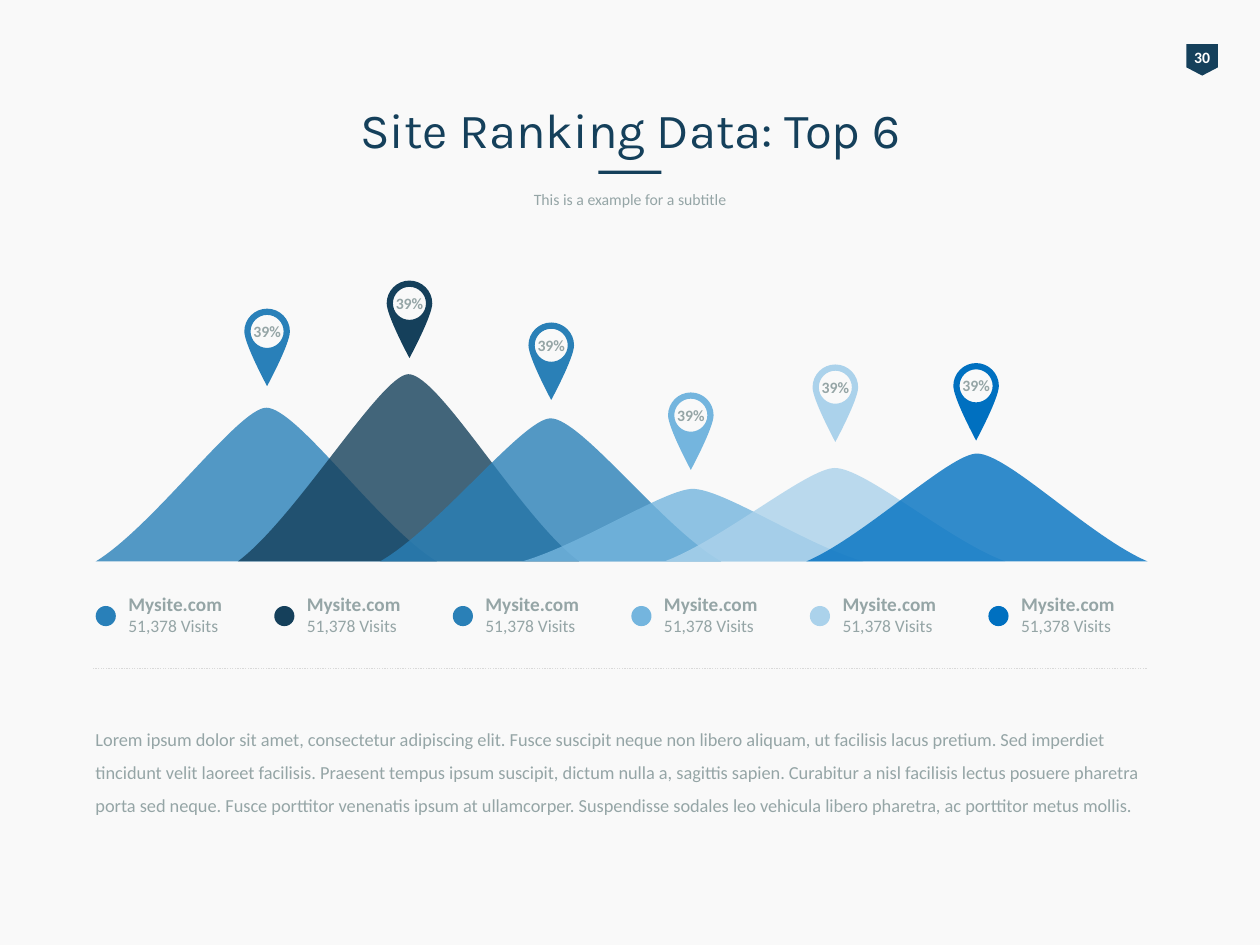
from dataclasses import dataclass

from lxml import etree
from pptx import Presentation
from pptx.dml.color import RGBColor
from pptx.enum.dml import MSO_LINE
from pptx.enum.shapes import MSO_CONNECTOR, MSO_SHAPE
from pptx.enum.text import MSO_ANCHOR, PP_ALIGN
from pptx.oxml.ns import qn
from pptx.util import Emu, Inches, Pt

CENTER, LEFT = PP_ALIGN.CENTER, PP_ALIGN.LEFT
MIDDLE = MSO_ANCHOR.MIDDLE
ELLIPSE, RECTANGLE, PENTAGON = MSO_SHAPE.OVAL, MSO_SHAPE.RECTANGLE, MSO_SHAPE.PENTAGON
STRAIGHT, DOTTED = MSO_CONNECTOR.STRAIGHT, MSO_LINE.ROUND_DOT

# The slide is a grid of 100 columns by 75 rows of square cells.
SLIDE_WIDTH, SLIDE_HEIGHT = Inches(10), Inches(7.5)
CELL = SLIDE_WIDTH / 100

NAVY, GREY, PAPER, WHITE, RULE = "15405B", "95A5A6", "F9F9F9", "FFFFFF", "D9D9D9"
BODY_FONT, TITLE_FONT = "Calibri", "Karla"

MARGIN = 7.6
BASELINE = 44.56
MOUNTAIN_PITCH, MOUNTAIN_WIDTH = 11.28, 27.08
LEGEND_PITCH, LEGEND_TOP, DOT_SIZE = 14.17, 46.5, 1.6
PIN_RADIUS, HOLE_RADIUS, PIN_HEIGHT = 1.81, 1.31, 6.15

# Outlines are a start point, then two handles and an end point per Bezier segment.
# The ridge is in shares of a mountain's width and height.
RIDGE = [(0, 0), (0.17, 0.23), (0.42, 1), (0.5, 1), (0.59, 1), (0.83, 0.23), (1, 0)]
# The pin is in radii around the centre of its head.
ARC = 0.55
TIP = PIN_HEIGHT / PIN_RADIUS - 1
TOP_ARCS = [(-1, 0), (-1, -ARC), (-ARC, -1), (0, -1), (ARC, -1), (1, -ARC), (1, 0)]
DROP = TOP_ARCS + [(1, ARC), (0, TIP), (0, TIP), (0, TIP), (-1, ARC), (-1, 0)]
CIRCLE = TOP_ARCS + [(1, ARC), (ARC, 1), (0, 1), (-ARC, 1), (-1, ARC), (-1, 0)]

BODY_TEXT = (
    "Lorem ipsum dolor sit amet, consectetur adipiscing elit. Fusce suscipit neque non "
    "libero aliquam, ut facilisis lacus pretium. Sed imperdiet tincidunt velit laoreet "
    "facilisis. Praesent tempus ipsum suscipit, dictum nulla a, sagittis sapien. "
    "Curabitur a nisl facilisis lectus posuere pharetra porta sed neque. Fusce porttitor "
    "venenatis ipsum at ullamcorper. Suspendisse sodales leo vehicula libero pharetra, "
    "ac porttitor metus mollis."
)

Outline = list[tuple[float, float]]


@dataclass(frozen=True)
class Site:
    color: str
    peak: float
    pin_center: float
    pin_top: float
    share: str = "39%"
    name: str = "Mysite.com"
    visits: str = "51,378 Visits"


SITES = [
    Site("2980B9", 32.36, 21.2, 24.5),
    Site(NAVY, 29.7, 32.5, 22.27),
    Site("2A80B7", 33.2, 43.75, 25.6),
    Site("74B5DE", 38.8, 54.83, 31.15),
    Site("ABD2EB", 37.14, 66.3, 28.93),
    Site("0070C0", 36.0, 77.47, 28.82),
]


def cells(*lengths: float) -> list[Emu]:
    return [Emu(round(length * CELL)) for length in lengths]


def rgb(color: str) -> RGBColor:
    return RGBColor.from_string(color)


def paint(shape, color: str, opacity: int = 100) -> None:
    shape.shadow.inherit = False
    shape.fill.solid()
    shape.fill.fore_color.rgb = rgb(color)
    shape.line.fill.background()
    if opacity < 100:
        fill_color = shape._element.spPr.find(qn("a:solidFill"))[0]
        etree.SubElement(fill_color, qn("a:alpha"), val=str(opacity * 1000))


def set_font(font, size: float, color: str, bold: bool = False, name: str = BODY_FONT) -> None:
    font.name, font.size, font.bold = name, Pt(size), bold
    font.color.rgb = rgb(color)


def add_text(slide, text: str, left: float, top: float, width: float, height: float,
             size: float, color: str = GREY, bold: bool = False,
             align=CENTER, wrap: bool = True):
    frame = slide.shapes.add_textbox(*cells(left, top, width, height)).text_frame
    frame.word_wrap = wrap
    paragraph = frame.paragraphs[0]
    paragraph.add_run().text = text
    paragraph.alignment = align
    set_font(paragraph.font, size, color, bold)
    return paragraph


def add_preset(slide, kind, left: float, top: float, width: float, height: float, color: str):
    shape = slide.shapes.add_shape(kind, *cells(left, top, width, height))
    paint(shape, color)
    return shape


def place(outline: Outline, x: float, y: float, width: float, height: float) -> Outline:
    return [(x + u * width, y + v * height) for u, v in outline]


def add_curved_shape(slide, outlines: list[Outline], color: str, opacity: int = 100) -> None:
    first, *holes = [[cells(*point) for point in outline] for outline in outlines]
    builder = slide.shapes.build_freeform(*first[0], scale=1.0)
    builder.add_line_segments(first[1:], close=True)
    for hole in holes:
        builder.move_to(*hole[0])
        builder.add_line_segments(hole[1:], close=True)
    shape = builder.convert_to_shape()
    # Merge every three line points into one Bezier segment.
    lines = list(shape._element.iter(qn("a:lnTo")))
    for triple in zip(lines[::3], lines[1::3], lines[2::3]):
        curve = etree.Element(qn("a:cubicBezTo"))
        triple[0].addprevious(curve)
        for line in triple:
            curve.append(line[0])
            line.getparent().remove(line)
    paint(shape, color, opacity)


def add_mountain(slide, site: Site, column: int) -> None:
    ridge = place(RIDGE, MARGIN + column * MOUNTAIN_PITCH, BASELINE,
                  MOUNTAIN_WIDTH, site.peak - BASELINE)
    add_curved_shape(slide, [ridge], site.color, opacity=80)


def add_pin(slide, site: Site) -> None:
    center = (site.pin_center, site.pin_top + PIN_RADIUS)
    drop = place(DROP, *center, PIN_RADIUS, PIN_RADIUS)
    hole = place(CIRCLE, *center, HOLE_RADIUS, HOLE_RADIUS)
    add_curved_shape(slide, [drop, hole], site.color)
    add_text(slide, site.share, site.pin_center - 2.55, site.pin_top + 0.53, 5.1, 3.1,
             9, bold=True, wrap=False)


def add_legend_entry(slide, site: Site, column: int) -> None:
    left = MARGIN + column * LEGEND_PITCH
    entry = add_text(slide, site.name, left + DOT_SIZE, LEGEND_TOP, 13.1, 3.4,
                     11, bold=True, align=LEFT)
    entry.add_line_break()
    visits = entry.add_run()
    visits.text = site.visits
    visits.font.size, visits.font.bold = Pt(10), False
    add_preset(slide, ELLIPSE, left, LEGEND_TOP + DOT_SIZE, DOT_SIZE, DOT_SIZE, site.color)


def add_heading(slide) -> None:
    title = slide.shapes.title
    title.left, title.top, title.width, title.height = cells(5, 8.1, 90, 4.3)
    frame = title.text_frame
    frame.text = "Site Ranking Data: Top 6"
    frame.vertical_anchor = MIDDLE
    frame.paragraphs[0].alignment = CENTER
    set_font(frame.paragraphs[0].font, 28, NAVY, name=TITLE_FONT)
    add_text(slide, "This is a example for a subtitle", 5, 14.6, 90, 1.9, 9)
    add_preset(slide, RECTANGLE, 47.5, 13.55, 5, 0.25, NAVY)


def add_page_badge(slide) -> None:
    badge = add_preset(slide, PENTAGON, 94.16, 3.5, 2.5, 2.5, NAVY)
    badge.rotation = 90
    badge.adjustments[0] = 0.26
    add_text(slide, "30", 93.76, 3.3, 3.3, 1.9, 9, WHITE, bold=True, wrap=False)


def add_divider(slide) -> None:
    divider = slide.shapes.add_connector(STRAIGHT, *cells(91, 53.05, 7.35, 53.05))
    divider.line.color.rgb = rgb(RULE)
    divider.line.width = Pt(0.75)
    divider.line.dash_style = DOTTED
    etree.SubElement(divider._element.spPr, qn("a:effectLst"))


def main() -> None:
    deck = Presentation()
    deck.slide_width, deck.slide_height = SLIDE_WIDTH, SLIDE_HEIGHT
    slide = deck.slides.add_slide(deck.slide_layouts.get_by_name("Title Only"))
    slide.background.fill.solid()
    slide.background.fill.fore_color.rgb = rgb(PAPER)

    add_page_badge(slide)
    add_heading(slide)
    for column, site in enumerate(SITES):
        add_mountain(slide, site, column)
    for column, site in enumerate(SITES):
        add_pin(slide, site)
        add_legend_entry(slide, site, column)
    body = add_text(slide, BODY_TEXT, 6.6, 56.4, 86.7, 11.9, 10.5, align=LEFT)
    body.line_spacing = 1.5
    add_divider(slide)
    deck.save("out.pptx")


if __name__ == "__main__":
    main()
